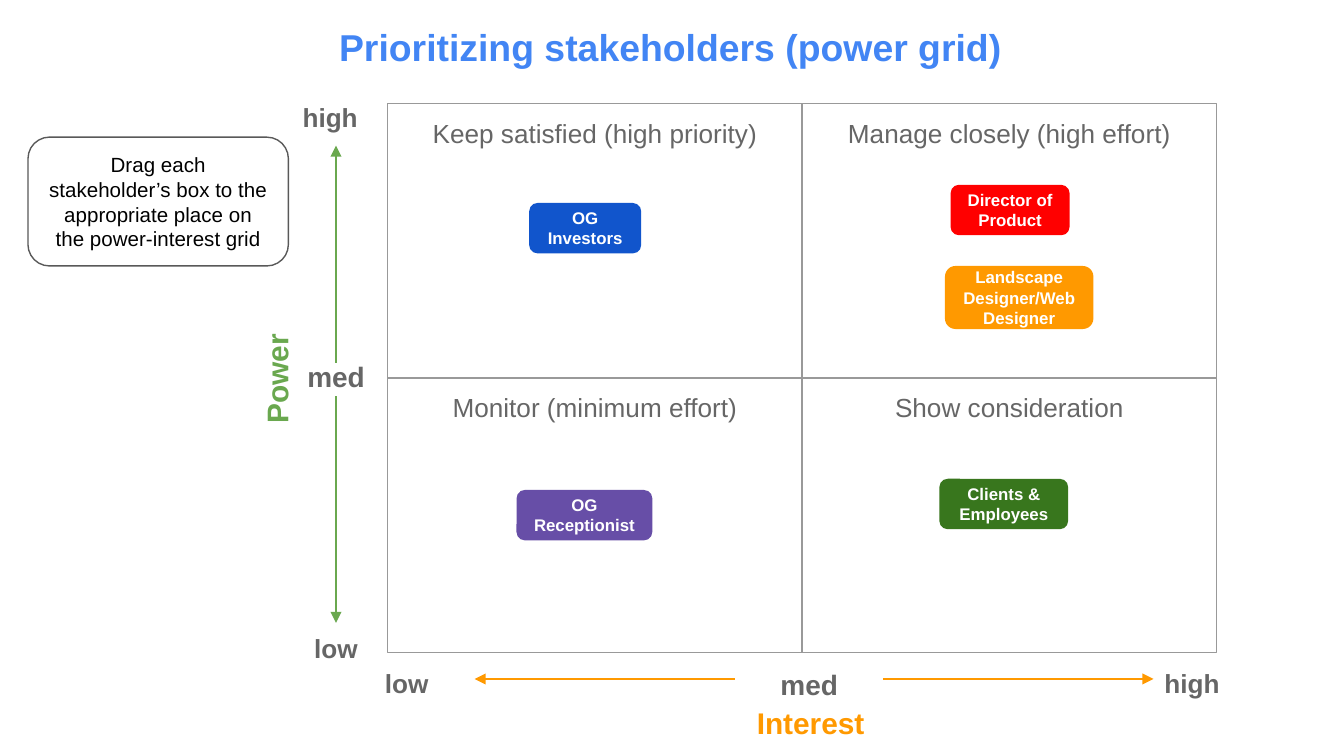
from pptx import Presentation
from pptx.dml.color import RGBColor
from pptx.enum.shapes import MSO_CONNECTOR, MSO_SHAPE
from pptx.enum.text import MSO_ANCHOR, PP_ALIGN
from pptx.oxml.ns import qn
from pptx.util import Pt
from lxml.etree import SubElement

PX = 9525
GRAY, GREEN, ORANGE = "666666", "6AA84F", "FF9900"
rgb = RGBColor.from_string


def write(sp, text, size=14, color=GRAY, bold=False, align=PP_ALIGN.CENTER, anchor=MSO_ANCHOR.TOP):
    tf = sp.text_frame
    tf.word_wrap = True
    tf.vertical_anchor = anchor
    tf.margin_left = tf.margin_right = tf.margin_top = tf.margin_bottom = Pt(7.2)
    p = tf.paragraphs[0]
    p.alignment = align
    r = p.add_run()
    r.text = text
    r.font.name = "Arial"
    r.font.size = Pt(size)
    r.font.bold = bold
    r.font.color.rgb = rgb(color)


def add_box(kind, x, y, w, h, fill=None, line=None):
    sp = s.shapes.add_shape(kind, x * PX, y * PX, w * PX, h * PX)
    sp.shadow.inherit = False
    if fill:
        sp.fill.solid()
        sp.fill.fore_color.rgb = rgb(fill)
    else:
        sp.fill.background()
    if line:
        sp.line.color.rgb = rgb(line)
        sp.line.width = Pt(0.75)
    else:
        sp.line.fill.background()
    return sp


prs = Presentation()
prs.slide_width = 960 * PX
prs.slide_height = 540 * PX
s = prs.slides.add_slide(prs.slide_layouts[6])

quadrants = [
    ["Keep satisfied (high priority)", "Manage closely (high effort)"],
    ["Monitor (minimum effort)", "Show consideration"],
]
cell_w, cell_h = 296, 196
for row, titles in enumerate(quadrants):
    for col, title in enumerate(titles):
        sp = add_box(MSO_SHAPE.RECTANGLE, 277 + col * cell_w, 74 + row * cell_h,
                     cell_w, cell_h, line="999999")
        write(sp, title)

arrows = [
    (240, 259, 240, 104, GREEN),
    (240, 283, 240, 445, GREEN),
    (631, 485, 824, 485, ORANGE),
    (525, 485, 339, 485, ORANGE),
]
for x1, y1, x2, y2, color in arrows:
    arrow = s.shapes.add_connector(MSO_CONNECTOR.STRAIGHT, x1 * PX, y1 * PX, x2 * PX, y2 * PX)
    arrow.line.color.rgb = rgb(color)
    arrow.line.width = Pt(1.5)
    SubElement(arrow.line._get_or_add_ln(), qn("a:tailEnd"), type="triangle")
    SubElement(arrow._element.spPr, qn("a:effectLst"))

labels = [
    ("Prioritizing stakeholders (power grid)", -1, 8, 960, 47, 0, dict(size=20, color="4285F4")),
    ("Power", 154, 260, 87, 25, 270,
     dict(size=16, color=GREEN, align=PP_ALIGN.RIGHT, anchor=MSO_ANCHOR.MIDDLE)),
    ("high", 137, 63, 128, 25, 0, dict(align=PP_ALIGN.RIGHT)),
    ("med", 187, 247, 106, 36, 0, dict(size=15)),
    ("low", 137, 442, 128, 25, 0, dict(align=PP_ALIGN.RIGHT)),
    ("low", 242, 467, 97, 36, 0, {}),
    ("med", 525, 467, 106, 36, 0, dict(size=15)),
    ("high", 803, 467, 97, 36, 0, {}),
    ("Interest", 526, 494, 106, 45, 0, dict(size=16, color=ORANGE)),
]
for text, x, y, w, h, rotation, style in labels:
    sp = s.shapes.add_textbox(x * PX, y * PX, w * PX, h * PX)
    sp.rotation = rotation
    write(sp, text, bold=True, **style)

stakeholders = [
    ("Director of Product", 679, 132, 85, 36, "FF0000"),
    ("OG Investors", 378, 145, 80, 36, "1155CC"),
    ("Clients & Employees", 671, 342, 92, 36, "38761D"),
    ("OG Receptionist", 369, 350, 97, 36, "674EA7"),
    ("Landscape Designer/Web Designer", 675, 190, 106, 45, ORANGE),
]
for name, x, y, w, h, fill in stakeholders:
    sp = add_box(MSO_SHAPE.ROUNDED_RECTANGLE, x, y, w, h, fill=fill)
    write(sp, name, size=9, color="FFFFFF", bold=True, anchor=MSO_ANCHOR.MIDDLE)

sp = add_box(MSO_SHAPE.ROUNDED_RECTANGLE, 20, 98, 186, 92, line="595959")
write(sp, "Drag each stakeholder’s box to the appropriate place on the power-interest grid",
      size=11, color="000000", anchor=MSO_ANCHOR.MIDDLE)

prs.save("out.pptx")
